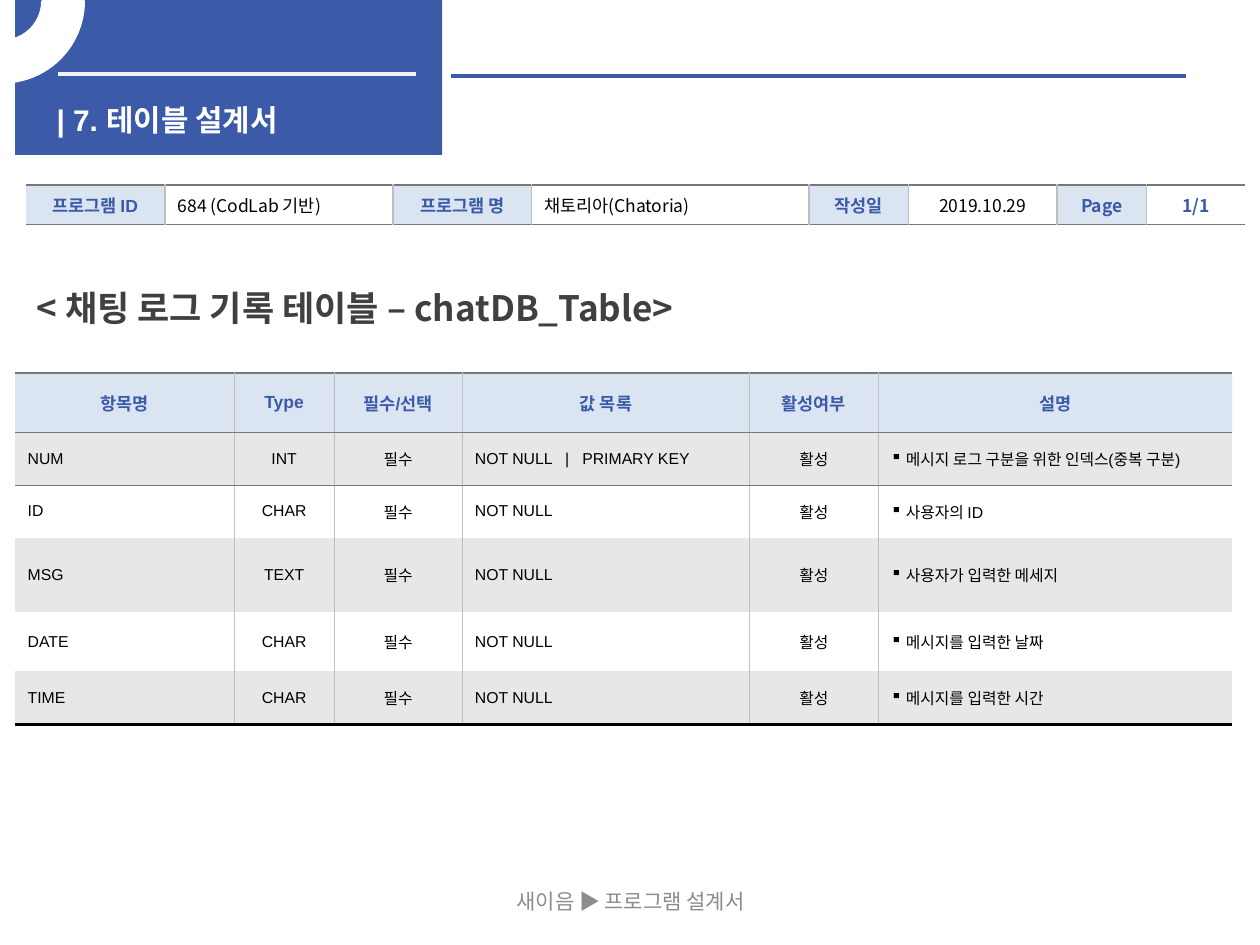
from dataclasses import dataclass

from lxml.etree import SubElement
from pptx import Presentation
from pptx.dml.color import RGBColor
from pptx.enum.shapes import MSO_CONNECTOR, MSO_SHAPE
from pptx.enum.text import MSO_ANCHOR, PP_ALIGN
from pptx.oxml.ns import qn
from pptx.util import Inches, Pt


@dataclass(frozen=True)
class Theme:
    latin: str = "Arial"
    korean: str = "Noto Sans CJK KR"
    blue: str = "3B5AA8"
    pale_blue: str = "B9CDE5"
    white: str = "FFFFFF"
    off_white: str = "F2F2F2"
    band: str = "E7E7E7"
    black: str = "000000"
    heading: str = "404040"
    footer: str = "8C8C8C"
    rule: str = "77787B"
    divider: str = "BFBFBF"
    heading_size: float = 20
    section_size: float = 17
    footer_size: float = 12
    label_size: float = 10
    body_size: float = 9


THEME = Theme()
NO_TABLE_STYLE = "{2D5ABB26-0587-4C30-8999-92F81FD0307C}"
PROGRAM_INFO = [
    ("프로그램 ID", 1.11, True, True),
    ("684 (CodLab 기반)", 1.81, False, False),
    ("프로그램 명", 1.1, True, True),
    ("채토리아(Chatoria)", 2.2, False, False),
    ("작성일", 0.79, True, True),
    ("2019.10.29", 1.18, False, True),
    ("Page", 0.71, True, True),
    ("1/1", 0.79, True, True),
]
FIELD_COLUMNS = [
    ("항목명", 1.74, False),
    ("Type", 0.79, True),
    ("필수/선택", 1.02, True),
    ("값 목록", 2.28, False),
    ("활성여부", 1.02, True),
    ("설명", 2.81, False),
]
FIELDS = [
    ("NUM", "INT", "NOT NULL   |   PRIMARY KEY", "메시지 로그 구분을 위한 인덱스(중복 구분)"),
    ("ID", "CHAR", "NOT NULL", "사용자의 ID"),
    ("MSG", "TEXT", "NOT NULL", "사용자가 입력한 메세지"),
    ("DATE", "CHAR", "NOT NULL", "메시지를 입력한 날짜"),
    ("TIME", "CHAR", "NOT NULL", "메시지를 입력한 시간"),
]
FIELD_HEIGHTS = [0.47, 0.42, 0.42, 0.59, 0.47, 0.42]


def write(frame, text, size, color, font, bold=False, centered=False):
    paragraph = frame.paragraphs[0]
    paragraph.text = text
    paragraph.alignment = PP_ALIGN.CENTER if centered else PP_ALIGN.LEFT
    span = paragraph.runs[0]
    span.font.size = Pt(size)
    span.font.bold = bold
    span.font.name = font
    span.font.color.rgb = RGBColor.from_string(color)
    properties = span.font._element
    SubElement(properties, qn("a:ea")).set("typeface", THEME.korean)
    return paragraph


def add_text(page, bounds, text, size, color, font, bold=False, centered=False):
    box = page.shapes.add_textbox(*map(Inches, bounds))
    box.text_frame.word_wrap = True
    if centered:
        box.text_frame.vertical_anchor = MSO_ANCHOR.MIDDLE
    return write(box.text_frame, text, size, color, font, bold, centered)


def add_block(page, kind, bounds, color):
    shape = page.shapes.add_shape(kind, *map(Inches, bounds))
    shape.shadow.inherit = False
    shape.fill.solid()
    shape.fill.fore_color.rgb = RGBColor.from_string(color)
    shape.line.fill.background()
    return shape


def add_ring(page):
    ring = add_block(page, MSO_SHAPE.BLOCK_ARC, (-0.63, -0.63, 1.29, 1.28), THEME.white)
    ring.adjustments[0] = 161.59 * 0.6
    ring.adjustments[1] = 0
    ring.adjustments[2] = 0.25
    ring.line.color.rgb = RGBColor.from_string(THEME.white)
    ring.line.width = Pt(2)
    ring._element.spPr.find(qn("a:xfrm")).set("flipV", "1")


def add_rule(page, left, right, top, color):
    ends = map(Inches, (left, top, right, top))
    line = page.shapes.add_connector(MSO_CONNECTOR.STRAIGHT, *ends)
    line.line.color.rgb = RGBColor.from_string(color)
    line.line.width = Pt(2.25)
    SubElement(line._element.spPr, qn("a:effectLst"))


def add_grid(page, left, top, widths, heights):
    bounds = map(Inches, (left, top, sum(widths), sum(heights)))
    table = page.shapes.add_table(len(heights), len(widths), *bounds).table
    table.first_row = False
    table.horz_banding = False
    table._tbl.tblPr.find(qn("a:tableStyleId")).text = NO_TABLE_STYLE
    for column, width in zip(table.columns, widths):
        column.width = Inches(width)
    for row, height in zip(table.rows, heights):
        row.height = Inches(height)
    return table


def style_cell(cell, borders, fill=None, opacity=100):
    cell.vertical_anchor = MSO_ANCHOR.MIDDLE
    properties = cell._tc.get_or_add_tcPr()
    for side in "LRTB":
        line = SubElement(properties, qn(f"a:ln{side}"))
        if side not in borders:
            line.set("w", "0")
            SubElement(line, qn("a:noFill"))
            continue
        color, width = borders[side]
        line.set("w", str(Pt(width)))
        SubElement(SubElement(line, qn("a:solidFill")), qn("a:srgbClr")).set("val", color)
    if fill is None:
        cell.fill.background()
        return
    cell.fill.solid()
    cell.fill.fore_color.rgb = RGBColor.from_string(fill)
    if opacity < 100:
        tint = properties.find(qn("a:solidFill"))[0]
        SubElement(tint, qn("a:alpha")).set("val", str(opacity * 1000))


def add_program_info(page):
    table = add_grid(page, 0.2, 1.47, [item[1] for item in PROGRAM_INFO], [0.31])
    last = len(PROGRAM_INFO) - 1
    for index, (text, _, strong, centered) in enumerate(PROGRAM_INFO):
        cell = table.cell(0, index)
        color = THEME.blue if strong else THEME.black
        font = THEME.korean if index else THEME.latin
        write(cell.text_frame, text, THEME.label_size, color, font, strong, centered)
        borders = {
            "L": (THEME.divider if index else THEME.white, 1),
            "R": (THEME.divider if index < last else THEME.white, 1),
            "T": (THEME.rule, 1),
            "B": (THEME.rule, 1),
        }
        fill = THEME.pale_blue if strong and index < last else None
        style_cell(cell, borders, fill, 50)


def field_borders(row, column):
    borders = {}
    if column > 0:
        borders["L"] = (THEME.divider, 0.25)
    if column < len(FIELD_COLUMNS) - 1:
        borders["R"] = (THEME.divider, 0.25)
    if row <= 2:
        borders["T"] = (THEME.rule, 0.25 if row else 1)
    if row <= 1:
        borders["B"] = (THEME.rule, 0.25)
    if row == len(FIELDS):
        borders["B"] = (THEME.black, 2)
    return borders


def add_field_table(page):
    table = add_grid(page, 0.12, 2.96, [item[1] for item in FIELD_COLUMNS], FIELD_HEIGHTS)
    for column, (label, _, centered) in enumerate(FIELD_COLUMNS):
        cell = table.cell(0, column)
        paragraph = write(cell.text_frame, label, THEME.label_size, THEME.blue, THEME.latin, True, True)
        paragraph.space_before = Pt(2)
        style_cell(cell, field_borders(0, column), THEME.pale_blue, 50)
        for row, (name, kind, values, note) in enumerate(FIELDS, 1):
            text = (name, kind, "필수", values, "활성", " " + note)[column]
            cell = table.cell(row, column)
            paragraph = write(cell.text_frame, text, THEME.body_size, THEME.black, THEME.latin, False, centered)
            if label == "설명":
                SubElement(paragraph._p.get_or_add_pPr(), qn("a:buChar")).set("char", "▪")
            style_cell(cell, field_borders(row, column), THEME.band if row % 2 else THEME.white)


def main():
    deck = Presentation()
    deck.slide_width, deck.slide_height = Inches(10), Inches(7.5)
    page = deck.slides.add_slide(deck.slide_layouts[6])
    heading = add_text(page, (0.19, 2.16, 6.62, 0.5), "< 채팅 로그 기록 테이블 – chatDB_Table>",
                       THEME.heading_size, THEME.heading, THEME.korean, True)
    heading.line_spacing = 1.2
    heading.space_before = Pt(4)
    add_block(page, MSO_SHAPE.RECTANGLE, (0.12, 0, 3.39, 1.23), THEME.blue)
    add_rule(page, 0.46, 3.3, 0.59, THEME.off_white)
    add_rule(page, 3.58, 9.41, 0.6, THEME.blue)
    add_text(page, (0.35, 0.76, 3.15, 0.32), "| 7. 테이블 설계서",
             THEME.section_size, THEME.white, THEME.latin, True)
    add_ring(page)
    add_program_info(page)
    add_text(page, (3.42, 6.95, 3.17, 0.4), "새이음 ▶ 프로그램 설계서",
             THEME.footer_size, THEME.footer, THEME.korean, centered=True)
    add_field_table(page)
    deck.save("out.pptx")


main()
